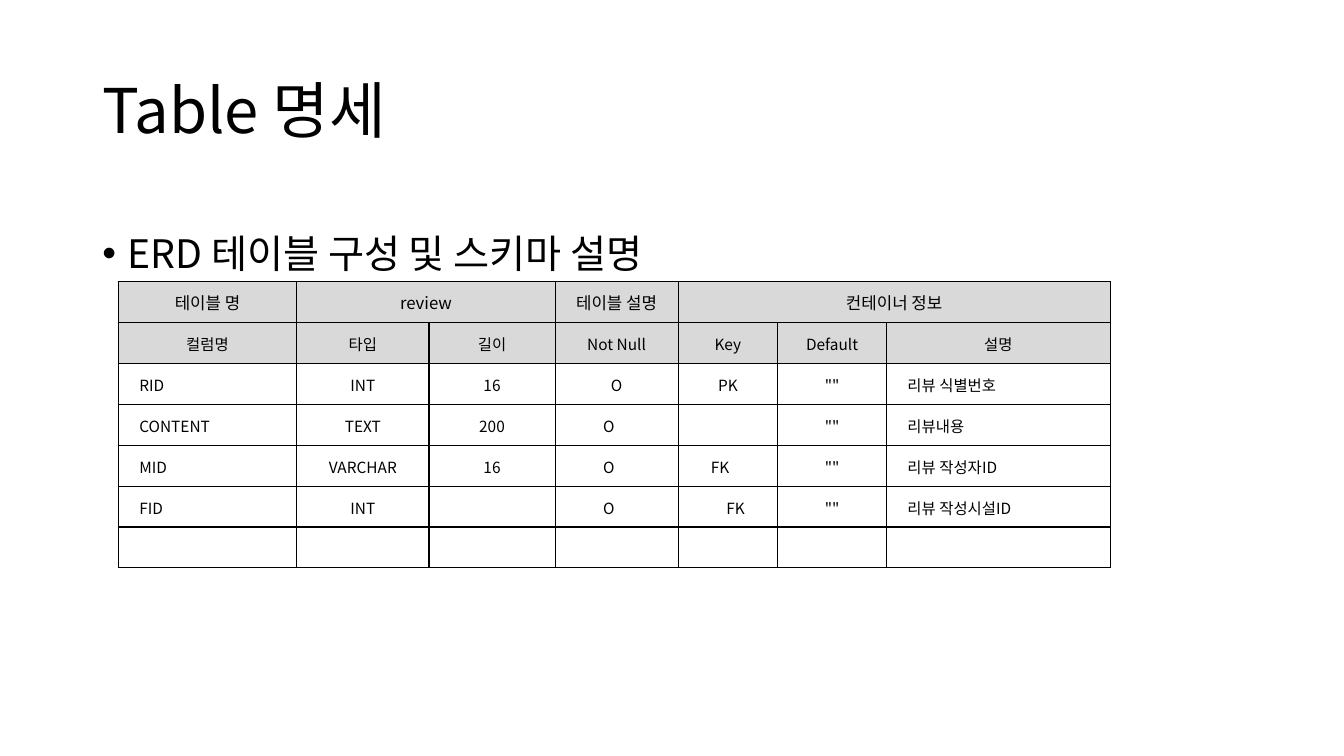
import pptx
import pptx.dml.color
import pptx.enum.text
import pptx.oxml
import pptx.oxml.ns
import pptx.util
from lxml import etree

Cm = pptx.util.Cm
Pt = pptx.util.Pt
ALIGN = pptx.enum.text.PP_ALIGN
MIDDLE = pptx.enum.text.MSO_ANCHOR.MIDDLE
TOP = pptx.enum.text.MSO_ANCHOR.TOP

COLUMN_WIDTHS = [4.5, 3.33, 3.18, 3.1, 2.51, 2.74, 5.64]
ROW_HEIGHT = 1.03
SCHEMA_ROWS = [
    ["테이블 명", "review", "", "테이블 설명", "컨테이너 정보", "", ""],
    ["컬럼명", "타입", "길이", "Not Null", "Key", "Default", "설명"],
    ["RID", "INT", "16", "O", "PK", '""', "리뷰 식별번호"],
    ["CONTENT", "TEXT", "200", "O　", "", '""', "리뷰내용"],
    ["MID", "VARCHAR", "16", "O　", "FK　", '""', "리뷰 작성자ID"],
    ["FID", "INT", "", "O　", "　FK", '""', "리뷰 작성시설ID"],
    [""] * 7,
]
HEADER_SPANS = [(1, 2), (4, 6)]
HEADER_ROWS = 2
INDENTED_COLUMNS = (0, 6)


def color(value):
    """Turn a hex string into a colour."""
    return pptx.dml.color.RGBColor.from_string(value)


def apply(target, values):
    """Set every attribute of a format on an object."""
    for name, value in values.items():
        setattr(target, name, value)


def add_element(parent, tag, **attributes):
    """Append a drawing element to its parent."""
    element = etree.SubElement(parent, pptx.oxml.ns.qn(tag))
    for name, value in attributes.items():
        element.set(name, str(value))
    return element


class SlideBuilder:
    """Hold the style and the current slide."""

    font_name = "Noto Sans CJK KR"
    ink = "000000"
    header_fill = "D9D9D9"
    body_fill = "FFFFFF"

    def __init__(self, presentation):
        """Add a title-only slide."""
        self.slide = presentation.slides.add_slide(presentation.slide_layouts[5])

    def text(self, paragraph, content, size, paragraph_format):
        """Put one styled run into a paragraph."""
        apply(paragraph, paragraph_format)
        if not content:
            add_element(paragraph._p, "a:endParaRPr", sz=size * 100)
            return
        run = paragraph.add_run()
        run.text = content
        apply(run.font, {"name": self.font_name, "size": Pt(size), "bold": False})
        run.font.color.rgb = color(self.ink)
        add_element(run._r.get_or_add_rPr(), "a:ea", typeface=self.font_name)

    def place(self, shape, box, anchor):
        """Position a text shape and set up its frame."""
        apply(shape, dict(zip(("left", "top", "width", "height"), map(Cm, box))))
        apply(shape.text_frame, {
            "word_wrap": True,
            "auto_size": pptx.enum.text.MSO_AUTO_SIZE.NONE,
            "vertical_anchor": anchor,
        })
        return shape.text_frame.paragraphs[0]

    def title(self, content, box):
        """Fill the title placeholder."""
        paragraph = self.place(self.slide.shapes.title, box, MIDDLE)
        self.text(paragraph, content, 44, {"alignment": ALIGN.LEFT, "line_spacing": 0.9})

    def bullet(self, content, box):
        """Add a text box with one bullet point."""
        shape = self.slide.shapes.add_textbox(*map(Cm, box))
        paragraph = self.place(shape, box, TOP)
        self.text(paragraph, content, 28, {"line_spacing": 1.5, "space_before": Pt(10)})
        properties = paragraph._p.get_or_add_pPr()
        properties.set("marL", str(Cm(0.64)))
        properties.set("indent", str(Cm(-0.64)))
        add_element(properties, "a:buFont", typeface="Arial")
        add_element(properties, "a:buChar", char="•")

    def border(self, cell):
        """Draw a thin line on all sides of a cell."""
        properties = cell._tc.get_or_add_tcPr()
        for side in ("L", "R", "T", "B"):
            line = add_element(properties, f"a:ln{side}", w=Pt(1))
            fill = add_element(line, "a:solidFill")
            add_element(fill, "a:srgbClr", val=self.ink)

    def cell(self, cell, content, row, column):
        """Style and fill one table cell."""
        self.border(cell)
        cell.fill.solid()
        cell.fill.fore_color.rgb = color(self.header_fill if row < HEADER_ROWS else self.body_fill)
        cell.vertical_anchor = MIDDLE
        if row > 0:
            margin = Cm(0.03)
            apply(cell, {"margin_left": margin, "margin_right": margin,
                         "margin_top": margin, "margin_bottom": 0})
        indented = row >= HEADER_ROWS and column in INDENTED_COLUMNS
        paragraph = cell.text_frame.paragraphs[0]
        alignment = ALIGN.LEFT if indented else ALIGN.CENTER
        self.text(paragraph, content, 11 if row else 12, {"alignment": alignment})
        if indented:
            paragraph._p.get_or_add_pPr().set("marL", str(Cm(0.5)))

    def table(self, rows, left, top):
        """Add the schema table."""
        width, height = sum(COLUMN_WIDTHS), ROW_HEIGHT * len(rows)
        frame = self.slide.shapes.add_table(
            len(rows), len(COLUMN_WIDTHS), Cm(left), Cm(top), Cm(width), Cm(height))
        table = frame.table
        apply(table, {"first_row": False, "horz_banding": False})
        for column, column_width in zip(table.columns, COLUMN_WIDTHS):
            column.width = Cm(column_width)
        for row in table.rows:
            row.height = Cm(ROW_HEIGHT)
        for first, last in HEADER_SPANS:
            table.cell(0, first).merge(table.cell(0, last))
        for row, texts in enumerate(rows):
            for column, content in enumerate(texts):
                self.cell(table.cell(row, column), content, row, column)


def main():
    """Build the table specification slide."""
    presentation = pptx.Presentation()
    apply(presentation, {"slide_width": Cm(33.87), "slide_height": Cm(19.05)})
    builder = SlideBuilder(presentation)
    builder.title("Table 명세", (2.33, 1.01, 29.21, 3.68))
    builder.bullet("ERD 테이블 구성 및 스키마 설명", (2.33, 5.07, 29.21, 12.09))
    builder.table(SCHEMA_ROWS, 2.98, 7.1)
    presentation.save("out.pptx")


if __name__ == "__main__":
    main()
